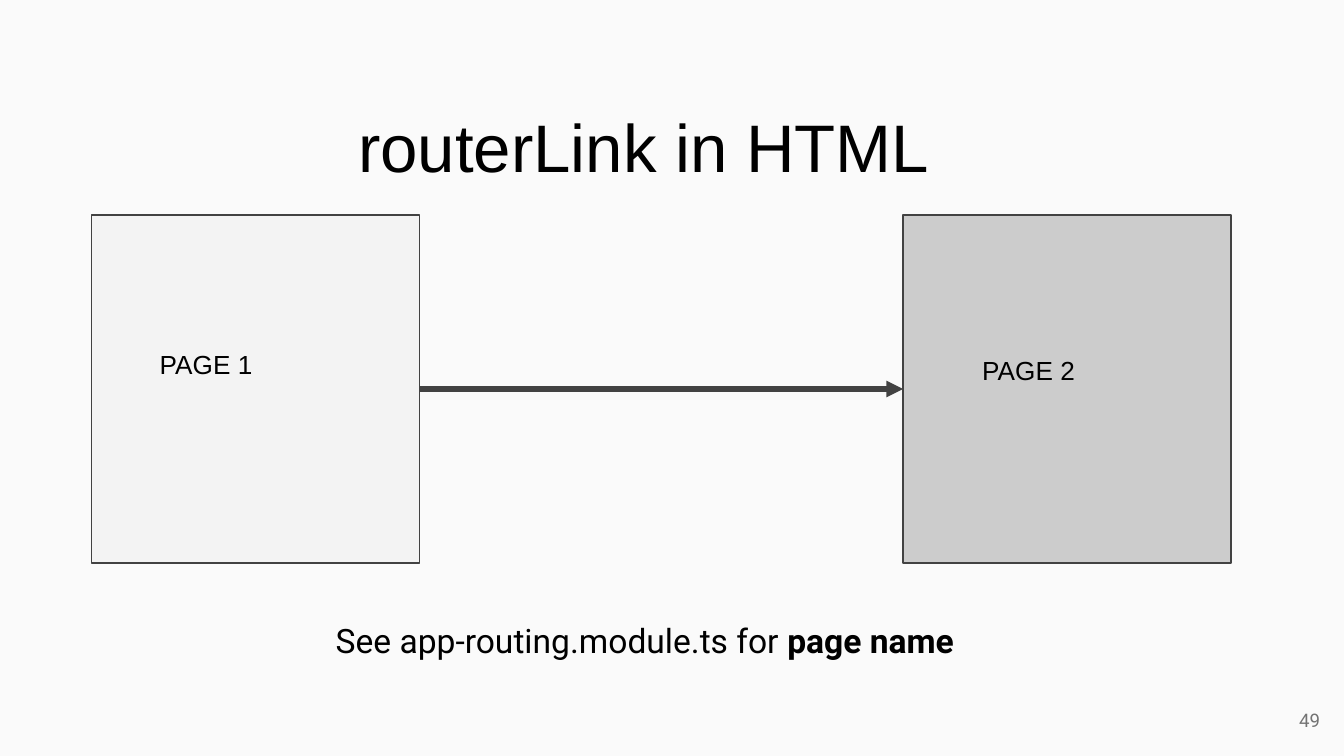
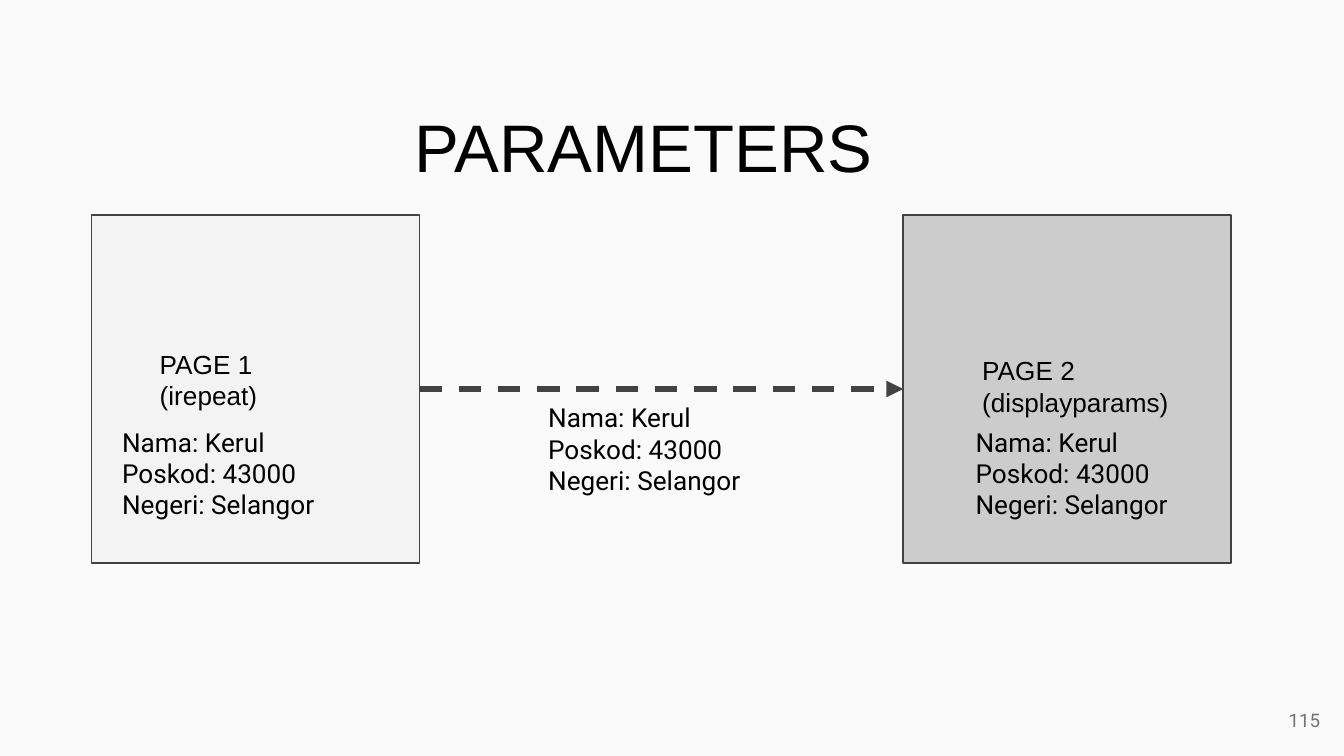
"""Build two slides on page routing: a plain link and a link with parameters."""
from dataclasses import dataclass

import pptx
import pptx.dml.color
import pptx.enum.dml
import pptx.enum.shapes
import pptx.enum.text
import pptx.oxml
import pptx.oxml.ns
import pptx.presentation
import pptx.shapes.autoshape
import pptx.slide
import pptx.util
from pptx.util import Inches

COLORS = {
    "background": "FAFAFA",
    "first_page": "F3F3F3",
    "second_page": "CCCCCC",
    "line": "424242",
    "text": "000000",
    "number": "737373",
}
ALIGN = pptx.enum.text.PP_ALIGN
ANCHOR = pptx.enum.text.MSO_ANCHOR
SLIDE_WIDTH = 10
SLIDE_HEIGHT = SLIDE_WIDTH * 9 / 16
PAGE_TOP, PAGE_WIDTH, PAGE_HEIGHT = 1.6, 2.44, 2.59
PARAMETERS = ("Nama: Kerul", "Poskod: 43000", "Negeri: Selangor")


@dataclass(frozen=True)
class TextStyle:
    size: int
    font: str
    color: str = "text"
    align: ALIGN = ALIGN.LEFT
    anchor: ANCHOR = ANCHOR.TOP


@dataclass(frozen=True)
class Box:
    left: float
    top: float
    width: float
    height: float


@dataclass(frozen=True)
class RoutingSlide:
    title: str
    first_label: tuple[str, ...]
    second_label: tuple[str, ...]
    number: int
    dashed: bool = False


TITLE = TextStyle(36, "Arial", align=ALIGN.CENTER)
LABEL = TextStyle(14, "Arial")
PARAMETER = TextStyle(14, "Roboto")
NOTE = TextStyle(18, "Roboto")
NUMBER = TextStyle(10, "Roboto", "number", ALIGN.RIGHT, ANCHOR.MIDDLE)

PARAMETER_BOXES = [
    Box(left, top, 1.88, 0.3) for left, top in ((0.81, 3.07), (3.98, 2.89), (7.16, 3.07))
]


def rgb(name: str) -> pptx.dml.color.RGBColor:
    return pptx.dml.color.RGBColor.from_string(COLORS[name])


def add_text(
    slide: pptx.slide.Slide,
    box: Box,
    style: TextStyle,
    lines: tuple[str, ...],
    bold_ending: str = "",
) -> None:
    shape = slide.shapes.add_textbox(
        Inches(box.left), Inches(box.top), Inches(box.width), Inches(box.height)
    )
    frame = shape.text_frame
    frame.word_wrap = True
    frame.vertical_anchor = style.anchor
    frame.margin_left = frame.margin_right = Inches(0.1)
    frame.margin_top = frame.margin_bottom = Inches(0.1)
    frame.text = "\n".join(lines)
    for paragraph in frame.paragraphs:
        paragraph.alignment = style.align
        paragraph.font.size = pptx.util.Pt(style.size)
        paragraph.font.name = style.font
        paragraph.font.color.rgb = rgb(style.color)
    if bold_ending:
        run = frame.paragraphs[-1].add_run()
        run.text = bold_ending
        run.font.bold = True


def add_page(
    slide: pptx.slide.Slide, left: float, fill: str
) -> pptx.shapes.autoshape.Shape:
    shape = slide.shapes.add_shape(
        pptx.enum.shapes.MSO_SHAPE.RECTANGLE,
        Inches(left), Inches(PAGE_TOP), Inches(PAGE_WIDTH), Inches(PAGE_HEIGHT),
    )
    shape.shadow.inherit = False
    shape.fill.solid()
    shape.fill.fore_color.rgb = rgb(fill)
    shape.line.color.rgb = rgb("line")
    shape.line.width = pptx.util.Pt(0.75)
    return shape


def add_arrow(
    slide: pptx.slide.Slide,
    start: pptx.shapes.autoshape.Shape,
    end: pptx.shapes.autoshape.Shape,
    dashed: bool,
) -> None:
    connector = slide.shapes.add_connector(
        pptx.enum.shapes.MSO_CONNECTOR.STRAIGHT, 0, 0, 0, 0
    )
    connector.begin_connect(start, 3)
    connector.end_connect(end, 1)
    connector.line.color.rgb = rgb("line")
    connector.line.width = pptx.util.Pt(3)
    if dashed:
        connector.line.dash_style = pptx.enum.dml.MSO_LINE.DASH
    namespace = pptx.oxml.ns.nsdecls("a")
    properties = connector._element.spPr
    properties.find(pptx.oxml.ns.qn("a:ln")).append(
        pptx.oxml.parse_xml(f'<a:tailEnd {namespace} type="triangle"/>')
    )
    properties.append(pptx.oxml.parse_xml(f"<a:effectLst {namespace}/>"))


def add_routing_slide(
    presentation: pptx.presentation.Presentation, content: RoutingSlide
) -> pptx.slide.Slide:
    slide = presentation.slides.add_slide(presentation.slide_layouts[6])
    slide.background.fill.solid()
    slide.background.fill.fore_color.rgb = rgb("background")
    first_page = add_page(slide, 0.68, "first_page")
    second_page = add_page(slide, 6.72, "second_page")
    add_arrow(slide, first_page, second_page, content.dashed)
    add_text(slide, Box(1.09, 2.49, 1.61, 0.71), LABEL, content.first_label)
    add_text(slide, Box(7.21, 2.54, 1.61, 0.71), LABEL, content.second_label)
    add_text(slide, Box(1.73, 0.68, 6.12, 0.92), TITLE, (content.title,))
    add_text(slide, Box(9.32, 5.14, 0.6, 0.43), NUMBER, (str(content.number),))
    return slide


def main() -> None:
    presentation = pptx.Presentation()
    presentation.slide_width = Inches(SLIDE_WIDTH)
    presentation.slide_height = Inches(SLIDE_HEIGHT)

    link_slide = add_routing_slide(
        presentation,
        RoutingSlide("routerLink in HTML", ("PAGE 1",), ("PAGE 2",), 49),
    )
    add_text(
        link_slide, Box(2.4, 4.51, 5.83, 0.68), NOTE,
        ("See app-routing.module.ts for ",), "page name",
    )

    parameter_slide = add_routing_slide(
        presentation,
        RoutingSlide(
            "PARAMETERS", ("PAGE 1", "(irepeat)"), ("PAGE 2", "(displayparams)"),
            115, dashed=True,
        ),
    )
    for box in PARAMETER_BOXES:
        add_text(parameter_slide, box, PARAMETER, PARAMETERS)

    presentation.save("out.pptx")


if __name__ == "__main__":
    main()
